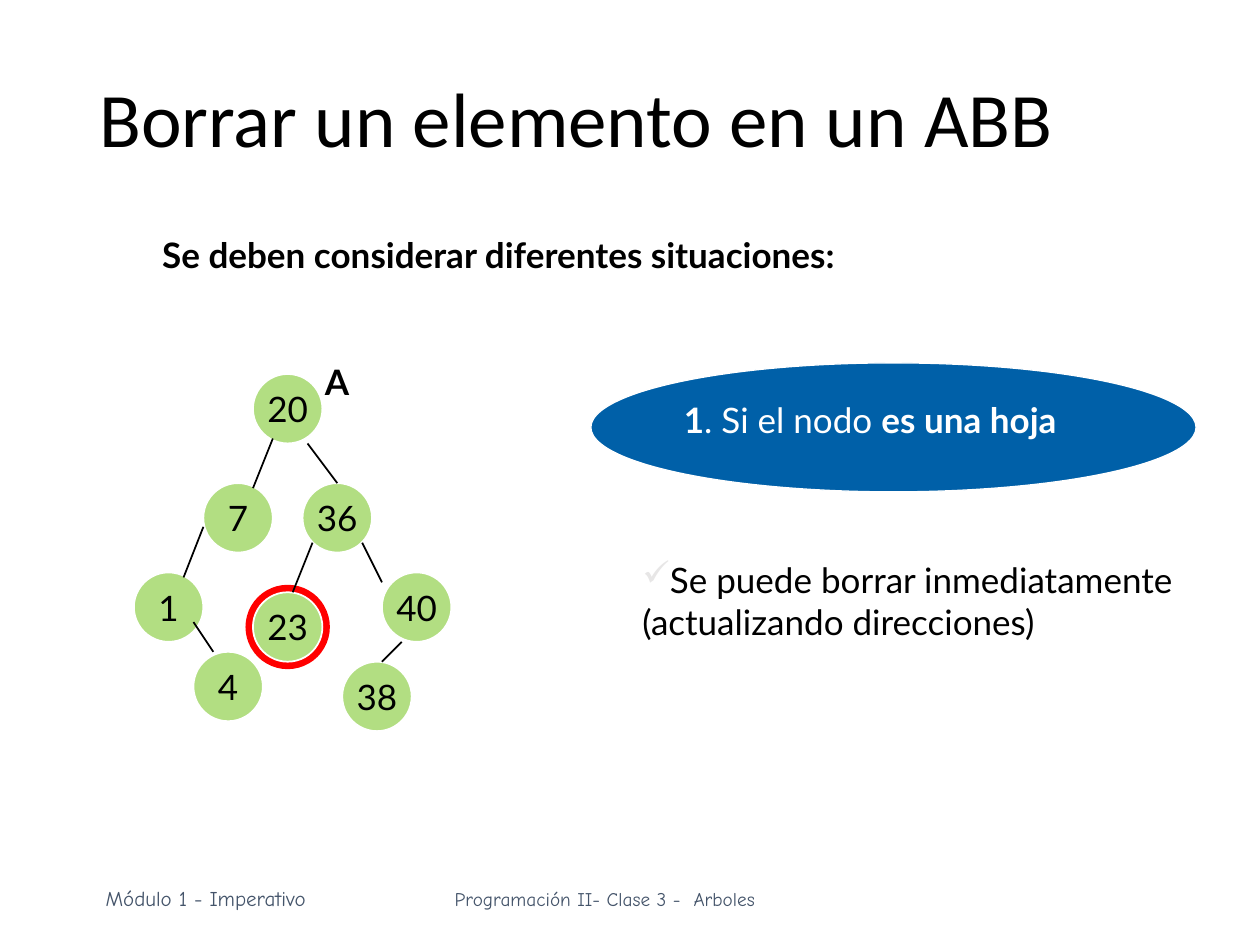
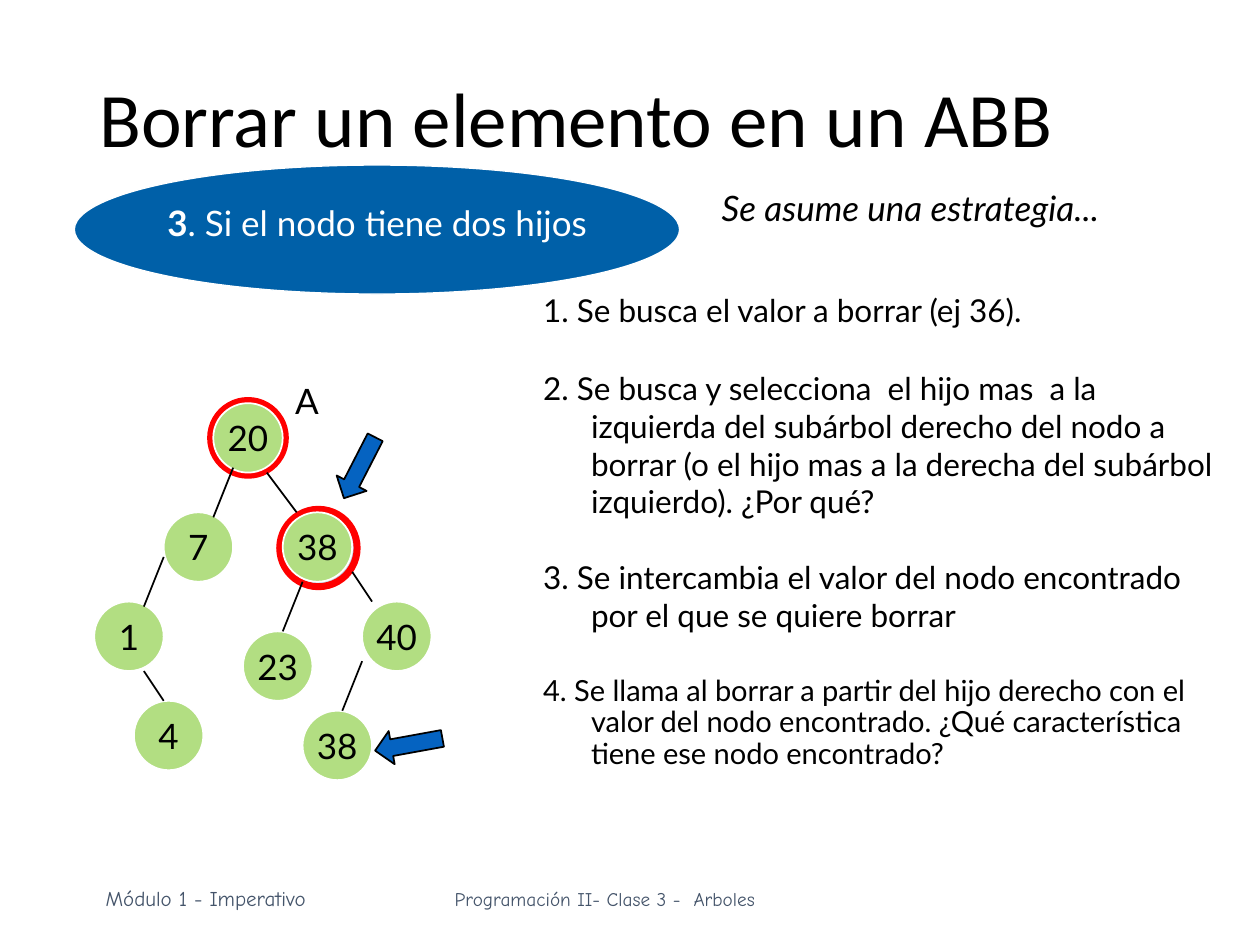
from lxml.etree import SubElement
from pptx import Presentation
from pptx.dml.color import RGBColor
from pptx.enum.shapes import MSO_CONNECTOR as Link, MSO_SHAPE as Preset
from pptx.enum.text import MSO_ANCHOR as Anchor, PP_ALIGN as Align
from pptx.oxml.ns import qn
from pptx.util import Inches, Pt

WIDTH, HEIGHT = Inches(10), Inches(7.5)
COLUMNS = 127
BLACK, WHITE, RED = "000000", "FFFFFF", "FF0000"
NODE_GREEN, OVAL_BLUE, ARROW_BLUE = "B2DE82", "0060A8", "0563C1"
RING_FILL, FOOTER_GREY, CHECK_GREY = "BED1E0", "44546A", "E7E6E6"
NODE = 7

TITLE = "Borrar un elemento en un ABB"
BODY = {"name": "Lato", "size": 20, "color": BLACK}
BOLD = BODY | {"bold": True}
CAPTION = BODY | {"color": WHITE}
STEP = BODY | {"size": 18}
HEADLINE = BODY | {"name": "Calibri", "size": 44}
FOOTER = {"name": "Comic Neue", "size": 11, "color": FOOTER_GREY}

LEAF_TREE = {
    "origin": (13.5, 37.7),
    "root_label": (18, -2, BOLD),
    "rings": [(11.6, 21.6, 7.8, 4)],
    "nodes": [("20", 12, 0), ("7", 7, 11), ("36", 17, 11), ("1", 0, 20),
              ("4", 6, 28), ("23", 12, 22), ("40", 25, 20), ("38", 21, 29)],
    "edges": [(14, 6.5, 12, 11.5), (17.5, 7, 20.5, 11), (7, 15.4, 5, 20.5),
              (6, 25, 8, 28), (18, 17, 16, 22), (23, 17, 25, 21),
              (27, 27, 25, 29)],
}
TWO_CHILDREN_TREE = {
    "origin": (9.5, 40.64),
    "root_label": (19, -3, BODY),
    "rings": [(12, 0, NODE, 7), (18.7, 10.7, 7.8, 4)],
    "nodes": [("20", 12, 0), ("7", 7, 11), ("38", 19, 11), ("1", 0, 20),
              ("4", 4, 30), ("23", 15, 23), ("40", 27, 20), ("38", 21, 31)],
    "edges": [(14, 6.5, 12, 11.5), (17.4, 7, 20.4, 11), (7, 15.5, 5, 20.5),
              (5, 27, 7, 30), (21, 18, 19, 23), (26, 17, 28, 20),
              (27, 26, 25, 31)],
}
STEPS = [
    ("1. Se busca el valor a borrar (ej 36).", (28.7, 60, 7), STEP, None),
    ("2. Se busca y selecciona  el hijo mas  a la izquierda del subárbol "
     "derecho del nodo a borrar (o el hijo mas a la derecha del subárbol "
     "izquierdo). ¿Por qué?", (36.58, 70.1, 17), STEP, None),
    ("3. Se intercambia el valor del nodo encontrado por el que se quiere "
     "borrar", (55.63, 69, 9), STEP, None),
    ("4. Se llama al borrar a partir del hijo derecho con el valor del nodo "
     "encontrado. ¿Qué característica tiene ese nodo encontrado?",
     (67.56, 69, 15), STEP | {"size": 16.6}, 0.9),
]


def grid(*cells):
    """Turn grid units into slide lengths."""
    return [round(WIDTH * cell / COLUMNS) for cell in cells]


def rgb(value):
    """Turn a hex string into a colour."""
    return RGBColor.from_string(value)


def apply(target, values):
    """Set each named attribute on the target."""
    for name, value in values.items():
        setattr(target, name, value)


def write(paragraph, text, style):
    """Add one styled run to a paragraph."""
    run = paragraph.add_run()
    run.text = text
    values = dict(style)
    run.font.color.rgb = rgb(values.pop("color"))
    apply(run.font, values | {"size": Pt(values["size"])})


def add_text(slide, area, lines, style, spacing=None, wrap=True,
             anchor=Anchor.TOP):
    """Add a text box with one paragraph per line and return its paragraphs."""
    frame = slide.shapes.add_textbox(*grid(*area)).text_frame
    apply(frame, {"word_wrap": wrap, "vertical_anchor": anchor})
    for index, line in enumerate(lines):
        paragraph = frame.add_paragraph() if index else frame.paragraphs[0]
        if spacing:
            paragraph.line_spacing = spacing
        for text, changes in line if isinstance(line, list) else [(line, {})]:
            write(paragraph, text, style | changes)
    return frame.paragraphs


def indent(paragraph, left, first=0):
    """Set the left margin and first-line indent in inches."""
    properties = paragraph._p.get_or_add_pPr()
    properties.set("marL", str(Inches(left)))
    properties.set("indent", str(Inches(first)))


def add_check(paragraph):
    """Give a paragraph a pale check-mark bullet."""
    indent(paragraph, 0)
    properties = paragraph._p.get_or_add_pPr()
    tint = SubElement(properties, qn("a:buClr"))
    SubElement(tint, qn("a:srgbClr")).set("val", CHECK_GREY)
    SubElement(properties, qn("a:buChar")).set("char", "✓")


def add_figure(slide, preset, area, fill, outline, weight, rotation=0):
    """Add a flat filled preset shape."""
    figure = slide.shapes.add_shape(preset, *grid(*area))
    figure.shadow.inherit = False
    figure.fill.solid()
    figure.fill.fore_color.rgb = rgb(fill)
    figure.line.color.rgb = rgb(outline)
    figure.line.width = Pt(weight)
    figure.rotation = rotation
    return figure


def add_node(slide, value, left, top):
    """Add a tree node holding its value."""
    node = add_figure(slide, Preset.OVAL, (left, top, NODE, NODE),
                      NODE_GREEN, WHITE, 1)
    apply(node.text_frame, {"word_wrap": False,
                            "vertical_anchor": Anchor.MIDDLE})
    paragraph = node.text_frame.paragraphs[0]
    paragraph.alignment = Align.CENTER
    write(paragraph, value, BODY)


def add_edge(slide, *ends):
    """Add a thin line between two tree nodes."""
    edge = slide.shapes.add_connector(Link.STRAIGHT, *grid(*ends))
    edge.line.color.rgb = rgb(BLACK)
    edge.line.width = Pt(1)
    SubElement(edge._element.spPr, qn("a:effectLst"))


def add_tree(slide, tree):
    """Draw the rings, nodes, edges and root label of a tree."""
    x, y = tree["origin"]
    for left, top, size, weight in tree["rings"]:
        add_figure(slide, Preset.OVAL, (x + left, y + top, size, size),
                   RING_FILL, RED, weight)
    for value, left, top in tree["nodes"]:
        add_node(slide, value, x + left, y + top)
    for x1, y1, x2, y2 in tree["edges"]:
        add_edge(slide, x + x1, y + y1, x + x2, y + y2)
    left, top, style = tree["root_label"]
    add_text(slide, (x + left, y + top, 5, 5.6), ["A"], style)


def add_case(slide, left, top, runs):
    """Add the blue oval that names a deletion case."""
    add_figure(slide, Preset.OVAL, (left, top, 61, 13), OVAL_BLUE, WHITE, 0.75)
    caption = add_text(slide, (left + 4.95, top + 3, 60, 10.7), [runs], CAPTION)
    indent(caption[0], 0.25)


def new_slide(deck):
    """Add a blank slide with the shared title and footers."""
    slide = deck.slides.add_slide(deck.slide_layouts[6])
    add_text(slide, (44.58, 88.77, 32.9, 3.7),
             ["Programación II- Clase 3 -  Arboles"], FOOTER, wrap=False)
    add_text(slide, (9.4, 88.65, 22.7, 3.8), ["Módulo 1 - Imperativo"],
             FOOTER | {"size": 12}, wrap=False)
    add_text(slide, (8.76, 3.18, 109.6, 18.42), [TITLE], HEADLINE,
             spacing=0.9, anchor=Anchor.MIDDLE)
    return slide


def build_leaf_case(deck):
    """Build the slide on deleting a leaf."""
    slide = new_slide(deck)
    add_text(slide, (15.1, 23.37, 102.4, 9),
             ["Se deben considerar diferentes situaciones:"], BOLD, 0.9)
    add_tree(slide, LEAF_TREE)
    add_case(slide, 59.56, 36.58, [("1", {"bold": True}), (". Si el nodo ", {}),
                                   ("es una hoja", {"bold": True})])
    remarks = add_text(slide, (63.5, 55.63, 58, 14),
                       ["Se puede borrar inmediatamente",
                        "(actualizando direcciones)"], BODY)
    add_check(remarks[0])


def build_two_children_case(deck):
    """Build the slide on deleting a node with two children."""
    slide = new_slide(deck)
    add_tree(slide, TWO_CHILDREN_TREE)
    for left, top, rotation in [(34.54, 43.7, 27.2), (39.5, 71.6, 79.7)]:
        add_figure(slide, Preset.DOWN_ARROW, (left, top, 3.4, 6.9),
                   ARROW_BLUE, BLACK, 1, rotation)
    for text, (top, width, height), style, spacing in STEPS:
        step = add_text(slide, (53.5, top, width, height), [text], style,
                        spacing)
        indent(step[0], 0.38, -0.38)
    add_case(slide, 7.5, 16.64, [("3", {"bold": True}),
                                 (". Si el nodo tiene dos hijos", {})])
    add_text(slide, (71.5, 18.16, 46, 5.6), ["Se asume una estrategia..."],
             BODY | {"italic": True})


def main():
    """Build and save the deck."""
    deck = Presentation()
    apply(deck, {"slide_width": WIDTH, "slide_height": HEIGHT})
    build_leaf_case(deck)
    build_two_children_case(deck)
    deck.save("out.pptx")


if __name__ == "__main__":
    main()
